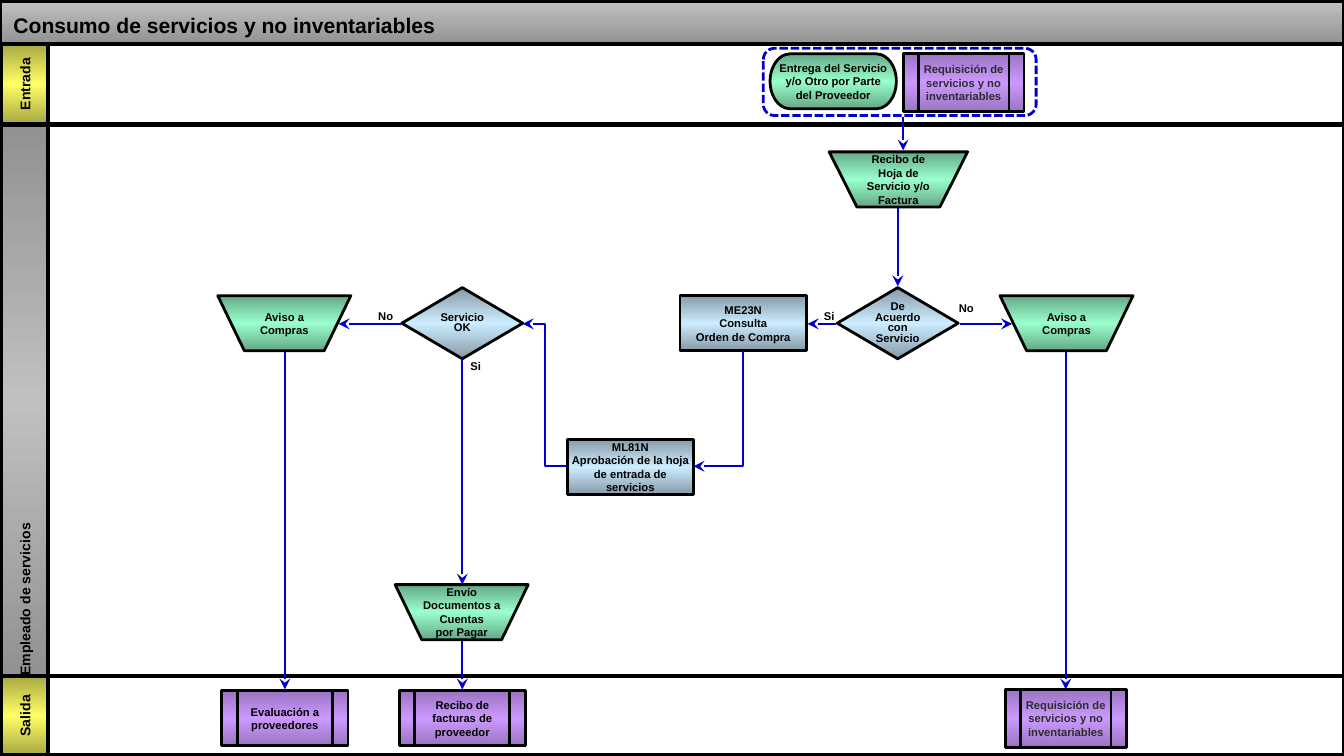
from copy import deepcopy

from pptx import Presentation
from pptx.dml.color import RGBColor
from pptx.enum.dml import MSO_LINE
from pptx.enum.shapes import MSO_CONNECTOR as CONN, MSO_SHAPE as SHAPE
from pptx.enum.text import MSO_ANCHOR as ANCHOR, PP_ALIGN as ALIGN
from pptx.oxml.ns import qn
from pptx.util import Inches, Pt
from lxml import etree

BLACK = RGBColor(0x00, 0x00, 0x00)
WHITE = RGBColor(0xFF, 0xFF, 0xFF)
PAPER = RGBColor(0xF2, 0xF2, 0xF2)
INK = RGBColor(0x2B, 0x2D, 0x2E)
BLUE = RGBColor(0x00, 0x00, 0xCC)
SILVER = RGBColor(0xC0, 0xC0, 0xC0)
GRAY = RGBColor(0x92, 0x92, 0x92)


# Gradients, from top to bottom
def band(edge, middle):
    return (edge, middle, edge)


HEADER = (SILVER, GRAY)
STEEL = band(GRAY, SILVER)
YELLOW = band(RGBColor(0xA8, 0xA8, 0x43), RGBColor(0xFF, 0xFF, 0x66))
GREEN = band(RGBColor(0x65, 0xA8, 0x86), RGBColor(0x99, 0xFF, 0xCC))
SKY = band(RGBColor(0x86, 0x9B, 0xA8), RGBColor(0xCC, 0xEC, 0xFF))
PURPLE = band(RGBColor(0x9A, 0x74, 0xC1), RGBColor(0xCC, 0x99, 0xFF))

TAB_W = 0.35
STEP_W, STEP_H = 0.94, 0.41
MANUAL_W = 0.99
DIAMOND_W, DIAMOND_H = 0.9, 0.53
ANSWER_W, ANSWER_H = 0.2, 0.1


def set_gradient(sp, colors):
    sp.fill.gradient()
    sp.fill.gradient_angle = 270
    stop_list = sp.fill.gradient_stops[0]._gs.getparent()
    for _ in colors[2:]:
        stop_list.append(deepcopy(stop_list[0]))
    for i, (stop, color) in enumerate(zip(sp.fill.gradient_stops, colors)):
        stop.color.rgb = color
        stop.position = i / (len(colors) - 1)


def set_text(sp, text, size, color=BLACK, align=ALIGN.CENTER, inset=0.01,
             wrap=True, spacing=None, anchor=ANCHOR.MIDDLE):
    tf = sp.text_frame
    tf.text = text
    tf.word_wrap = wrap
    tf.vertical_anchor = anchor
    tf.margin_left = tf.margin_right = Inches(inset)
    tf.margin_top = tf.margin_bottom = Inches(inset)
    for p in tf.paragraphs:
        p.alignment = align
        p.line_spacing = spacing
        for r in p.runs:
            r.font.name, r.font.size, r.font.bold = "Arial", Pt(size), True
            r.font.color.rgb = color


def add_box(s, kind, x, y, w, h, fill=None, line=BLACK, weight=1.5):
    sp = s.shapes.add_shape(kind, Inches(x), Inches(y), Inches(w), Inches(h))
    sp.shadow.inherit = False
    if fill is None:
        sp.fill.background()
    elif isinstance(fill, RGBColor):
        sp.fill.solid()
        sp.fill.fore_color.rgb = fill
    else:
        set_gradient(sp, fill)
    sp.line.color.rgb = line
    sp.line.width = Pt(weight)
    return sp


def add_step(s, kind, x, y, text, fill, w=STEP_W, h=STEP_H, **style):
    sp = add_box(s, kind, x, y, w, h, fill)
    set_text(sp, text, 6, **style)


def add_manual(s, x, y, text, w=MANUAL_W, **style):
    add_step(s, SHAPE.FLOWCHART_MANUAL_OPERATION, x, y, text, GREEN, w, **style)


def add_process(s, x, y, text, **style):
    add_step(s, SHAPE.FLOWCHART_PREDEFINED_PROCESS, x, y, text, PURPLE, **style)


def add_requisition(s, x, y):
    add_process(s, x, y, "Requisición de servicios y no inventariables",
                w=0.9, h=0.43, color=INK, inset=0.02)


def add_decision(s, x, y, text):
    add_step(s, SHAPE.DIAMOND, x, y, text, SKY, DIAMOND_W, DIAMOND_H,
             inset=0, spacing=0.8)


def add_answer(s, center, y, text):
    sp = s.shapes.add_textbox(Inches(center - ANSWER_W / 2), Inches(y),
                              Inches(ANSWER_W), Inches(ANSWER_H))
    set_text(sp, text, 6, inset=0, anchor=ANCHOR.TOP)


def add_arrow(s, x1, y1, x2, y2, kind=CONN.STRAIGHT):
    cxn = s.shapes.add_connector(kind, Inches(x1), Inches(y1), Inches(x2), Inches(y2))
    cxn.line.color.rgb = BLUE
    cxn.line.width = Pt(1)
    tail = etree.SubElement(cxn.line._get_or_add_ln(), qn("a:tailEnd"))
    tail.set("type", "stealth")
    etree.SubElement(cxn._element.spPr, qn("a:effectLst"))
    return cxn


def add_corner_arrow(s, x1, y1, x2, y2):
    """Arrow that goes down and then left: a single bend turned by 90 degrees."""
    cx, cy = (x1 + x2) / 2, (y1 + y2) / 2
    dx, dy = (y2 - y1) / 2, (x1 - x2) / 2
    cxn = add_arrow(s, cx - dx, cy - dy, cx + dx, cy + dy, CONN.ELBOW)
    sp_pr = cxn._element.spPr
    sp_pr.find(qn("a:prstGeom")).set("prst", "bentConnector2")
    sp_pr.find(qn("a:xfrm")).set("rot", "5400000")


def add_lane(s, x, y, w, h, label, fill, align=ALIGN.CENTER):
    add_box(s, SHAPE.RECTANGLE, x, y, w, h, WHITE, weight=2)
    tab = add_box(s, SHAPE.RECTANGLE, x + 0.01, y, TAB_W, h, fill, weight=2)
    set_text(tab, label, 7.5, align=align, inset=0)
    tab.text_frame._txBody.bodyPr.set("vert", "vert270")


def add_header(s, x, y, w, h):
    add_box(s, SHAPE.RECTANGLE, x, y + 0.01, w, h - 0.01, HEADER, weight=2)
    title = s.shapes.title
    title.left, title.top = Inches(x), Inches(y)
    title.width, title.height = Inches(w), Inches(h)
    set_text(title, "Consumo de servicios y no inventariables", 11.25,
             align=ALIGN.LEFT, anchor=ANCHOR.BOTTOM)
    title.text_frame.margin_left = Inches(0.1)
    title.text_frame.margin_bottom = Inches(0.05)
    s.shapes._spTree.append(title._element)  # bring in front of the bar


def add_input_lane(s, x, y, w, h):
    add_lane(s, x, y, w, h, "Entrada", YELLOW)
    add_step(s, SHAPE.FLOWCHART_TERMINATOR, x + 5.73, y + 0.07,
             "Entrega del Servicio y/o Otro por Parte del Proveedor", GREEN)
    add_requisition(s, x + 6.72, y + 0.07)
    frame = add_box(s, SHAPE.FLOWCHART_ALTERNATE_PROCESS, x + 5.68, y + 0.03,
                    2.03, 0.5, line=BLUE)
    frame.line.dash_style = MSO_LINE.SQUARE_DOT


def add_employee_lane(s, x, y, w, h):
    add_lane(s, x, y, w, h, "Empleado de servicios", STEEL, ALIGN.LEFT)
    add_manual(s, x + 6.17, y + 0.2, "Recibo de Hoja de Servicio y/o Factura", w=1.03)
    # Checking row
    row = y + 1.27
    for left in (1.62, 7.44):
        add_manual(s, x + left, row, "Aviso a Compras")
    add_step(s, SHAPE.RECTANGLE, x + 5.06, row, "ME23N\nConsulta\nOrden de Compra", SKY)
    add_decision(s, x + 2.99, row - 0.06, "Servicio\nOK")
    add_decision(s, x + 6.23, row - 0.06, "De Acuerdo con Servicio")
    for center, top, text in ((2.87, 0.1, "No"), (3.54, 0.47, "Si"),
                              (6.17, 0.1, "Si"), (7.19, 0.04, "No")):
        add_answer(s, x + center, row + top, text)
    # Approval and dispatch
    add_step(s, SHAPE.RECTANGLE, x + 4.22, y + 2.34,
             "ML81N\nAprobación de la hoja de entrada de servicios", SKY)
    add_manual(s, x + 2.94, y + 3.42, "Envío\nDocumentos a\nCuentas\npor Pagar",
               inset=0, wrap=False)


def add_output_lane(s, x, y, w, h):
    add_lane(s, x, y, w, h, "Salida", YELLOW)
    add_process(s, x + 1.65, y + 0.11, "Evaluación a proveedores")
    add_process(s, x + 2.97, y + 0.11, "Recibo de facturas de proveedor")
    add_requisition(s, x + 7.48, y + 0.1)


def add_flow(s):
    # Downward arrows: x, start, end
    for x, top, bottom in ((6.72, 0.87, 1.12), (6.68, 1.55, 2.13), (2.12, 2.62, 5.13),
                           (3.44, 2.67, 4.35), (3.44, 4.77, 5.13), (7.93, 2.61, 5.13)):
        add_arrow(s, x, top, x, bottom)
    # Arrows along the checking row
    for start, end in ((7.14, 7.53), (6.22, 6.01), (2.98, 2.52)):
        add_arrow(s, start, 2.41, end, 2.41)
    # To and from the approval
    add_corner_arrow(s, 5.53, 2.61, 5.16, 3.47)
    add_arrow(s, 4.22, 3.47, 3.89, 2.41, CONN.ELBOW)


def main():
    prs = Presentation()
    prs.slide_width = Inches(10)
    prs.slide_height = prs.slide_width * 9 // 16
    s = prs.slides.add_slide(prs.slide_layouts[5])
    s.background.fill.solid()
    s.background.fill.fore_color.rgb = PAPER
    add_header(s, 0, 0, 10, 0.33)
    add_input_lane(s, 0, 0.33, 10, 0.59)
    add_employee_lane(s, 0, 0.93, 10, 4.1)
    add_output_lane(s, 0, 5.03, 10, 0.59)
    add_flow(s)
    prs.save("out.pptx")


if __name__ == "__main__":
    main()
